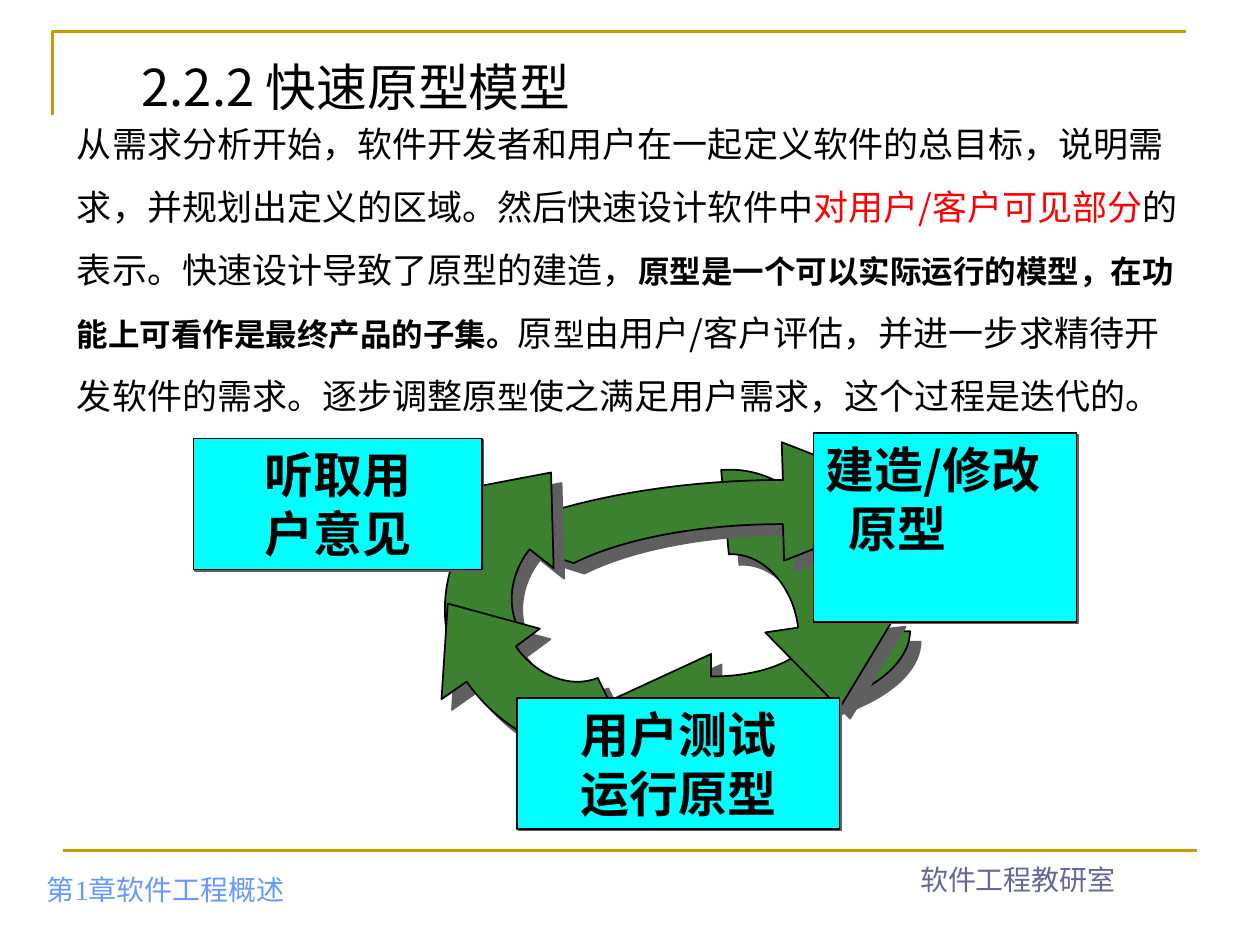
from lxml.etree import SubElement as Sub
from pptx import Presentation
from pptx.dml.color import RGBColor as Rgb
from pptx.enum.shapes import MSO_CONNECTOR as Conn, MSO_SHAPE as Kind
from pptx.enum.text import MSO_ANCHOR as Anchor, PP_ALIGN as Align
from pptx.oxml.ns import qn
from pptx.util import Pt

HUES = {"gold": "CC9900", "sky": "6699FF", "slate": "666699", "ink": "000000",
        "red": "FF0000", "green": "3B812F", "cyan": "00FFFF", "shade": "5F5F5F"}
SANS, ARIAL, TIMES = "Noto Sans CJK SC", "Arial", "Times New Roman"

# Each arrow: inner curve, outer curve (four control points each), three head corners
ARROWS = [
    ([(296.1, 139.6), (327.8, 139.6), (353, 128.1), (353, 113.7)],
     [(409.8, 113.7), (409.1, 142.5), (358.7, 165.6), (296.1, 165.6)],
     [(296.1, 179.2), (239.9, 152.6), (296.1, 126.7)]),
    ([(345.8, 111.6), (342.9, 87.1), (324.9, 68.4), (306.2, 69.8)],
     [(301.8, 21.6), (340.7, 18), (376.7, 56.1), (382.5, 107.2)],
     [(401.2, 105.1), (369.5, 157.6), (327, 114.4)]),
    ([(337.1, 52.5), (291, 52.5), (246.4, 60.4), (217.6, 74.8)],
     [(167.9, 59), (209, 39.6), (270.9, 27.3), (337.1, 27.3)],
     [(336.4, 5.7), (423.5, 39.6), (337.8, 73.4)]),
    ([(192.4, 66.9), (180.2, 82), (178.7, 102.9), (188.8, 116.6)],
     [(157.8, 144), (137, 116.6), (139.8, 75.6), (165, 44.6)],
     [(151.4, 33.1), (204.6, 23), (206.1, 77.7)]),
    ([(184.5, 122.4), (196, 138.9), (215.4, 146.8), (231.3, 140.4)],
     [(250, 178.5), (219, 190.8), (179.4, 175.6), (156.4, 142.5)],
     [(142, 152.6), (145.6, 97.9), (198.2, 112.3)]),
]

# Each step: box, alignment, lines as (text, left indent)
STEPS = [
    ((354.4, 0.5, 150.5, 108), Align.LEFT, [("建造/修改", 0), ("原型", 13)]),
    ((185.2, 151.9, 184.3, 74.9), Align.CENTER, [("用户测试", 0), ("运行原型", 0)]),
    ((0.2, 3.5, 164.9, 74.9), Align.CENTER, [("听取用", 0), ("户意见", 0)]),
]

BODY = [
    ("从需求分析开始，软件开发者和用户在一起定义软件的总目标，说明需求，"
     "并规划出定义的区域。然后快速设计软件中", {}),
    ("对用户/客户可见部分", {"hue": "red"}),
    ("的表示。快速设计导致了原型的建造，", {}),
    ("原型是一个可以实际运行的模型，在功能上可看作是最终产品的子集。",
     {"size": 18, "face": ARIAL, "bold": True}),
    ("原", {}),
    ("型", {"size": 18, "face": ARIAL}),
    ("由用户/客户评估，并进一步求精待开发软件的需求。逐步调整原", {}),
    ("型", {"size": 18, "face": ARIAL}),
    ("使之满足用户需求，这个过程是迭代的。", {}),
]


def rgb(hue):
    return Rgb.from_string(HUES[hue])


def write(para, text, size=20, hue="ink", face=SANS, bold=False):
    para._p.get_or_add_pPr().set("hangingPunct", "0")
    run = para.add_run()
    run.text = text
    font = run.font
    font.size, font.bold, font.name = Pt(size), bold, face
    font.color.rgb = rgb(hue)
    Sub(font._element, qn("a:ea"), typeface=SANS)


def text_box(slide, box, anchor=Anchor.TOP):
    """Add a wrapped text box and return its first paragraph."""
    frame = slide.shapes.add_textbox(*map(Pt, box)).text_frame
    frame.word_wrap = True
    frame.vertical_anchor = anchor
    return frame.paragraphs[0]


def paint(shape, fill, width, drop):
    """Give a shape its fill, black outline and solid drop shadow."""
    shape.fill.solid()
    shape.fill.fore_color.rgb = rgb(fill)
    shape.line.color.rgb = rgb("ink")
    shape.line.width = Pt(width)
    shape.shadow.inherit = False
    effects = shape.element.spPr.find(qn("a:effectLst"))
    cast = Sub(effects, qn("a:outerShdw"), dist=str(Pt(drop)), dir="2700000",
               algn="ctr", rotWithShape="0")
    Sub(cast, qn("a:srgbClr"), val=HUES["shade"])


def outline(slide, x, y, dots, close):
    dots = [(Pt(x + a), Pt(y + b)) for a, b in dots]
    pen = slide.shapes.build_freeform(*dots[0])
    pen.add_line_segments(dots[1:], close=close)
    return pen.convert_to_shape()


def bend(shape, first):
    """Turn three straight segments, from the given one on, into a cubic curve."""
    lines = shape.element.findall(".//" + qn("a:lnTo"))[first:first + 3]
    curve = lines[0].makeelement(qn("a:cubicBezTo"))
    lines[0].addprevious(curve)
    for line in lines:
        curve.append(line[0])
        line.getparent().remove(line)


def add_frame(slide, x, y, wide, high):
    """Gold corner at the top, gold rule at the foot."""
    edge = outline(slide, x, y, [(0, 48), (0, 0), (648, 0)], False)
    edge.fill.background()
    edge.shadow.inherit = False
    rule = slide.shapes.add_connector(
        Conn.STRAIGHT, Pt(x + wide - 648), Pt(y + high), Pt(x + wide), Pt(y + high))
    Sub(rule.element.spPr, qn("a:effectLst"))
    for part in (edge, rule):
        part.line.color.rgb = rgb("gold")
        part.line.width = Pt(1.5)


def add_footer(slide, x, y):
    left = text_box(slide, (x, y + 6, 227, 36), Anchor.BOTTOM)
    write(left, "第1章软件工程概述", size=16, hue="sky", face=TIMES)
    right = text_box(slide, (x + 448, y, 228, 36), Anchor.BOTTOM)
    right.alignment = Align.CENTER
    write(right, "软件工程教研室", size=16, hue="slate", face=TIMES)


def add_cycle(slide, x, y):
    for inner, outer, head in ARROWS:
        arrow = outline(slide, x, y, inner + outer + head, True)
        bend(arrow, 4)
        bend(arrow, 0)
        paint(arrow, "green", 1, 8.5)
    for (left, top, wide, high), align, lines in STEPS:
        step = slide.shapes.add_shape(
            Kind.RECTANGLE, Pt(x + left), Pt(y + top), Pt(wide), Pt(high))
        paint(step, "cyan", 0.75, 1.4)
        frame = step.text_frame
        frame.word_wrap = True
        frame.vertical_anchor = Anchor.TOP
        if align == Align.LEFT:
            frame.margin_right = Pt(12)
        for i, (text, indent) in enumerate(lines):
            para = frame.add_paragraph() if i else frame.paragraphs[0]
            para.alignment = align
            if indent:
                para._p.get_or_add_pPr().set("marL", str(Pt(indent)))
            write(para, text, size=28, bold=True)


def main():
    deck = Presentation()
    deck.slide_width, deck.slide_height = Pt(720), Pt(540)
    slide = deck.slides.add_slide(deck.slide_layouts[6])
    add_frame(slide, 30, 18, 654, 468)
    add_footer(slide, 19.7, 479.5)
    title = text_box(slide, (73.8, 31.7, 646.2, 34.6), Anchor.MIDDLE)
    write(title, "2.2.2 快速原型模型", size=29)
    body = text_box(slide, (36.9, 54.7, 649.4, 223.2))
    body.line_spacing = 1.5
    for text, style in BODY:
        write(body, text, **style)
    add_cycle(slide, 110.3, 247)
    deck.save("out.pptx")


if __name__ == "__main__":
    main()
